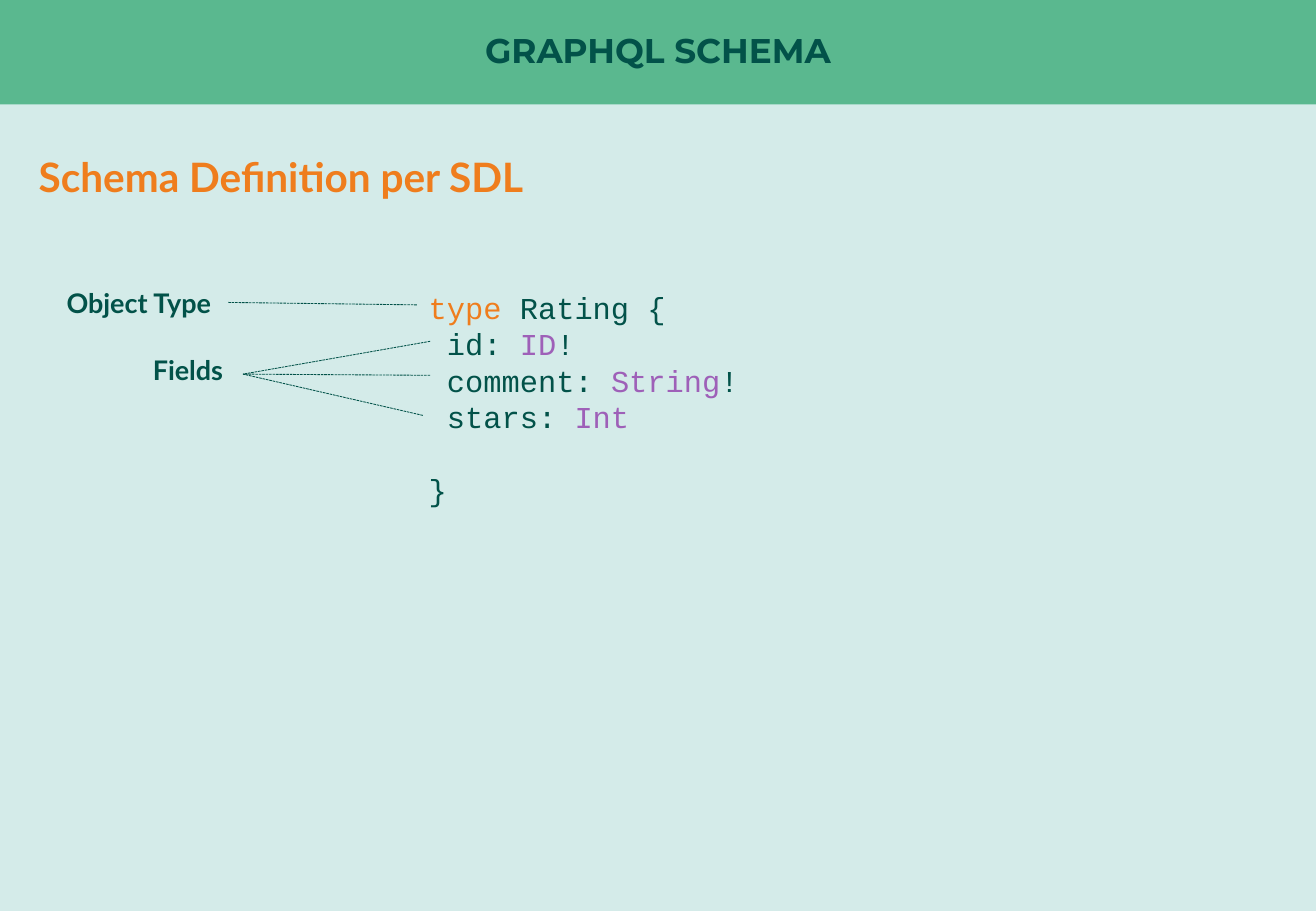
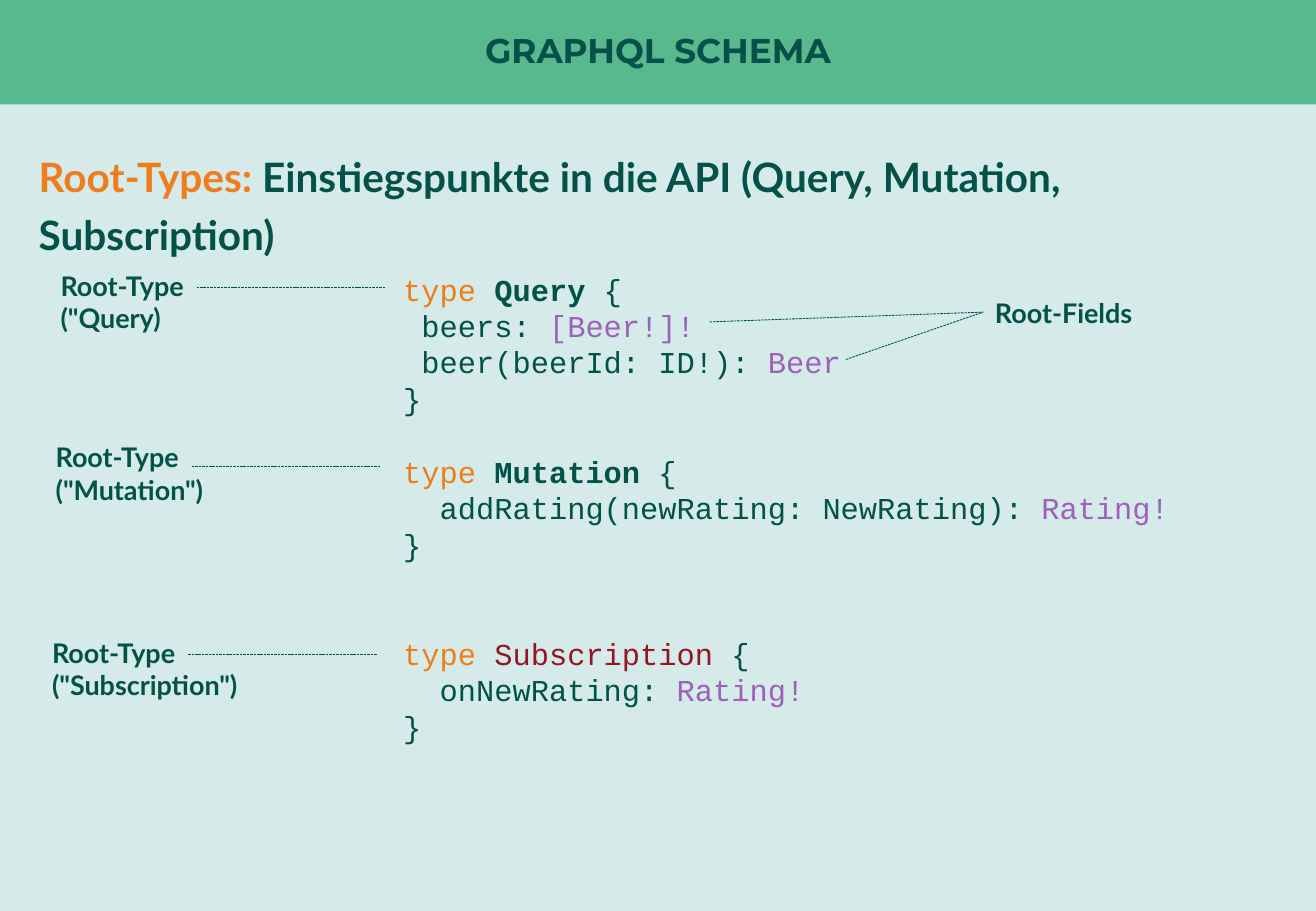
from lxml.etree import SubElement
from pptx import Presentation
from pptx.dml.color import RGBColor
from pptx.enum.dml import MSO_LINE as Dash
from pptx.enum.shapes import MSO_CONNECTOR as Link, MSO_SHAPE as Shape
from pptx.enum.text import MSO_ANCHOR as Anchor, MSO_AUTO_SIZE as Fit, PP_ALIGN as Align
from pptx.oxml.ns import qn
from pptx.util import Inches, Pt

MINT, GREEN, PINE = "D4EBE9", "5AB88F", "025249"
ORANGE, PURPLE, RED = "EF7D1D", "9E60B8", "931621"
WIDE, HIGH, BAND = 10.83, 7.5, 0.86
ROW = 21.6

TYPE = ("type ", ORANGE)
CLOSE = ("}", PINE)

RATING = [
    (0, [TYPE, ("Rating {", PINE)]),
    (0, [(" id: ", PINE), ("ID", PURPLE), ("!", PINE)]),
    (0, [(" comment: ", PINE), ("String", PURPLE), ("!", PINE)]),
    (0, [(" stars: ", PINE), ("Int", PURPLE)]),
    (1, [CLOSE]),
]

ROOTS = [
    (0, [TYPE, ("Query", PINE, True), (" {", PINE)]),
    (0, [(" beers: ", PINE), ("[Beer!]!", PURPLE)]),
    (0, [(" beer(beerId: ID!): ", PINE), ("Beer", PURPLE)]),
    (0, [CLOSE]),
    (1, [TYPE, ("Mutation", PINE, True), (" {", PINE)]),
    (0, [("  addRating(newRating: NewRating): ", PINE), ("Rating!", PURPLE)]),
    (0, [CLOSE]),
    (2, [TYPE, ("Subscription", RED), (" {", PINE)]),
    (0, [("  onNewRating: ", PINE), ("Rating!", PURPLE)]),
    (0, [CLOSE]),
]


def tint(item, code):
    item.rgb = RGBColor.from_string(code)


def place(shape, left, top, width, height):
    shape.left, shape.top = Inches(left), Inches(top)
    shape.width, shape.height = Inches(width), Inches(height)


def add_run(para, text, colour, size, face, bold):
    run = para.add_run()
    run.text = text
    font = run.font
    font.size, font.name, font.bold = Pt(size), face, bold
    tint(font.color, colour)


def add_box(slide, left, top, width, height):
    box = slide.shapes.add_textbox(Inches(left), Inches(top), Inches(width), Inches(height))
    frame = box.text_frame
    frame.word_wrap = True
    frame.auto_size = Fit.SHAPE_TO_FIT_TEXT
    return frame


def next_para(frame, index):
    return frame.add_paragraph() if index else frame.paragraphs[0]


def add_head(slide, runs):
    para = add_box(slide, 0.22, 1.12, 10.39, 0.55).paragraphs[0]
    para.line_spacing = 1.2
    for text, colour in runs:
        add_run(para, text, colour, 24, "Lato", True)


def add_label(slide, left, top, width, *lines):
    frame = add_box(slide, left, top, width, 0.1 + 0.27 * len(lines))
    for index, line in enumerate(lines):
        add_run(next_para(frame, index), line, PINE, 16, "Lato", True)


def add_code(slide, left, top, width, height, lines):
    frame = add_box(slide, left, top, width, height)
    for index, (gap, runs) in enumerate(lines):
        para = next_para(frame, index)
        para.line_spacing = Pt(ROW)
        if gap:
            para.space_before = Pt(gap * ROW)
        for text, colour, *bold in runs:
            add_run(para, text, colour, 18, "Courier New", bool(bold))


def add_link(slide, start, end):
    ends = [Inches(value) for value in (*start, *end)]
    link = slide.shapes.add_connector(Link.STRAIGHT, *ends)
    tint(link.line.color, PINE)
    link.line.width = Pt(0.5)
    link.line.dash_style = Dash.SQUARE_DOT
    SubElement(link.element.spPr, qn("a:effectLst"))


def style_layout(layout, slide):
    fill = layout.background.fill
    fill.solid()
    tint(fill.fore_color, MINT)
    band = slide.shapes.add_shape(Shape.RECTANGLE, 0, 0, Inches(WIDE), Inches(BAND))
    band.shadow.inherit = False
    band.fill.solid()
    tint(band.fill.fore_color, GREEN)
    band.line.fill.background()
    layout.shapes.element.insert(2, band.element)
    title = layout.placeholders[0]
    place(title, 0, 0, WIDE, BAND)
    frame = title.text_frame
    frame.margin_left = frame.margin_right = frame.margin_top = frame.margin_bottom = 0
    frame.vertical_anchor = Anchor.MIDDLE


def add_slide(deck, layout):
    slide = deck.slides.add_slide(layout)
    para = slide.shapes.title.text_frame.paragraphs[0]
    para.alignment = Align.CENTER
    para.line_spacing = 0.9
    add_run(para, "GRAPHQL SCHEMA", PINE, 20.3, "Montserrat", True)
    return slide


def fill_schema(slide):
    add_head(slide, [("Schema Definition per SDL", ORANGE)])
    add_code(slide, 3.43, 2.33, 4.47, 2.83, RATING)
    add_label(slide, 0.45, 2.31, 1.44, "Object Type")
    add_link(slide, (3.43, 2.51), (1.88, 2.49))
    add_label(slide, 1.16, 2.86, 1.44, "Fields")
    for end in ((3.54, 2.81), (3.54, 3.09), (3.48, 3.42)):
        add_link(slide, end, (2, 3.08))


def fill_roots(slide):
    add_head(slide, [
        ("Root-Types: ", ORANGE),
        ("Einstiegspunkte in die API (Query, Mutation, Subscription)", PINE),
    ])
    add_code(slide, 3.22, 2.18, 6.88, 4.34, ROOTS)
    for name, left, top, level in (
        ('("Query)', 0.4, 2.17, 2.37),
        ('("Mutation")', 0.36, 3.58, 3.84),
        ('("Subscription")', 0.33, 5.19, 5.39),
    ):
        add_label(slide, left, top, 3.2, "Root-Type", name)
        add_link(slide, (left + 2.77, level), (left + 1.22, level))
    add_label(slide, 8.09, 2.39, 2.6, "Root-Fields")
    for end in ((5.84, 2.65), (6.96, 2.96)):
        add_link(slide, end, (8.09, 2.57))


def main():
    deck = Presentation()
    deck.slide_width, deck.slide_height = Inches(WIDE), Inches(HIGH)
    layout = deck.slide_layouts[5]
    schema, roots = [add_slide(deck, layout) for _ in range(2)]
    style_layout(layout, schema)
    fill_schema(schema)
    fill_roots(roots)
    deck.save("out.pptx")


if __name__ == "__main__":
    main()
